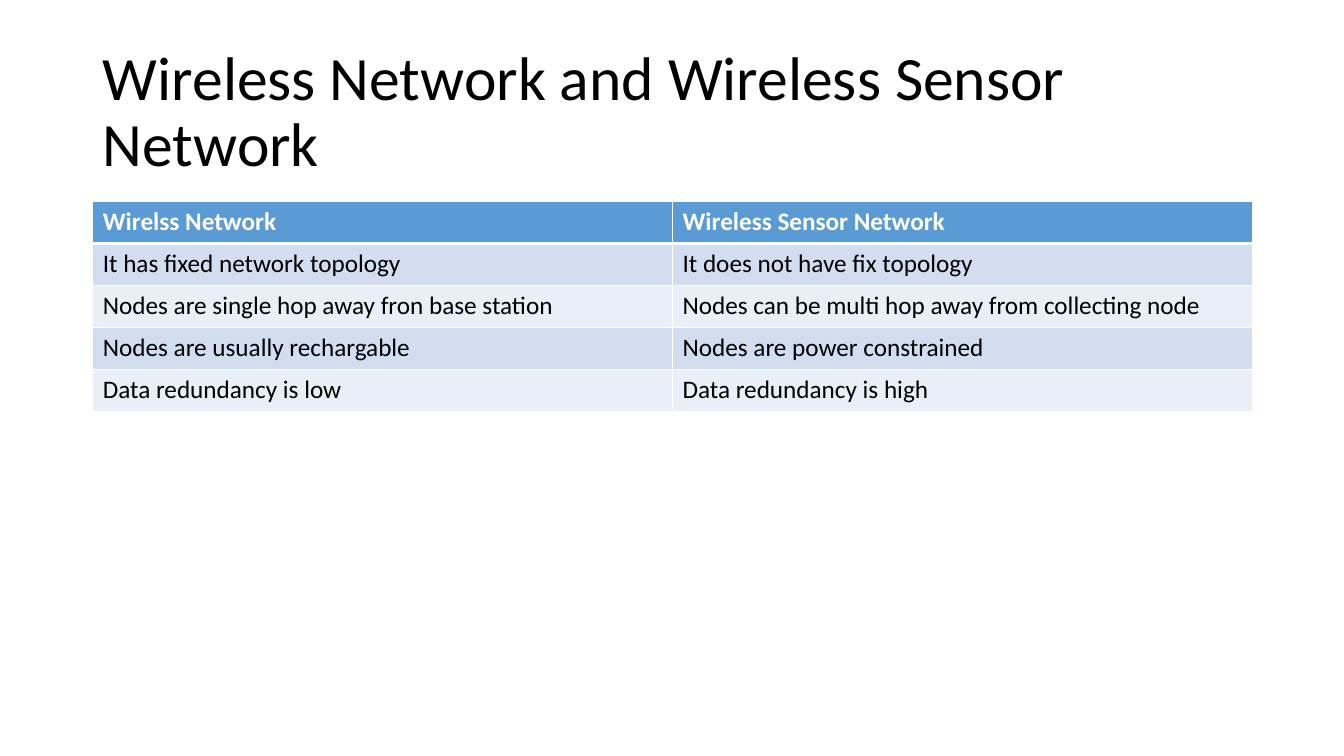
import pptx
import pptx.dml.color
import pptx.enum.text
import pptx.oxml
import pptx.oxml.ns
import pptx.util
from pptx.util import Inches

TITLE = "Wireless Network and Wireless Sensor Network"
COMPARISON = [
    ("Wirelss Network", "Wireless Sensor Network"),
    ("It has fixed network topology", "It does not have fix topology"),
    ("Nodes are single hop away fron base station",
     "Nodes can be multi hop away from collecting node"),
    ("Nodes are usually rechargable", "Nodes are power constrained"),
    ("Data redundancy is low", "Data redundancy is high"),
]


def color(value):
    return pptx.dml.color.RGBColor.from_string(value)


class SlideBuilder:
    font = "Calibri"
    white, black = "FFFFFF", "000000"
    header_fill = "5B9BD5"
    band_fills = ("D2DEEF", "EAEFF7")

    def __init__(self, deck):
        self.page = deck.slides.add_slide(deck.slide_layouts[5])

    def add_span(self, para, text, size, ink, bold=False):
        span = para.add_run()
        span.text = text
        span.font.name = self.font
        span.font.size = pptx.util.Pt(size)
        span.font.bold = bold
        span.font.color.rgb = color(ink)

    def title(self, text, left, top, width, height):
        box = self.page.shapes.title
        box.left, box.top = Inches(left), Inches(top)
        box.width, box.height = Inches(width), Inches(height)
        frame = box.text_frame
        frame.word_wrap = True
        frame.auto_size = pptx.enum.text.MSO_AUTO_SIZE.NONE
        frame.vertical_anchor = pptx.enum.text.MSO_ANCHOR.MIDDLE
        para = frame.paragraphs[0]
        para.alignment = pptx.enum.text.PP_ALIGN.LEFT
        para.line_spacing = 0.9
        self.add_span(para, text, 44, self.black)

    def borders(self, cell, top=1, bottom=1):
        properties = cell._tc.get_or_add_tcPr()
        widths = {"lnL": 1, "lnR": 1, "lnT": top, "lnB": bottom}
        # Border lines come before the fill in the cell properties
        for index, (side, points) in enumerate(widths.items()):
            line = pptx.oxml.parse_xml(
                f'<a:{side} {pptx.oxml.ns.nsdecls("a")} w="{pptx.util.Pt(points)}">'
                f'<a:solidFill><a:srgbClr val="{self.white}"/></a:solidFill>'
                f'</a:{side}>')
            properties.insert(index, line)

    def table(self, rows, left, top, width, height):
        grid = self.page.shapes.add_table(
            len(rows), len(rows[0]), Inches(left), Inches(top),
            Inches(width), Inches(height)).table
        for number, texts in enumerate(rows):
            header = number == 0
            fill = self.header_fill if header else self.band_fills[(number - 1) % 2]
            for column, text in enumerate(texts):
                cell = grid.cell(number, column)
                cell.fill.solid()
                cell.fill.fore_color.rgb = color(fill)
                self.borders(cell, top=3 if number == 1 else 1,
                             bottom=3 if header else 1)
                self.add_span(cell.text_frame.paragraphs[0], text, 18,
                              self.white if header else self.black, header)


def main():
    deck = pptx.Presentation()
    deck.slide_width, deck.slide_height = Inches(13.33), Inches(7.5)
    slide = SlideBuilder(deck)

    # Heading
    slide.title(TITLE, 0.92, 0.4, 11.5, 1.45)

    # Comparison of the two network types
    slide.table(COMPARISON, 0.92, 2, 11.5, 2.08)

    deck.save("out.pptx")


if __name__ == "__main__":
    main()
